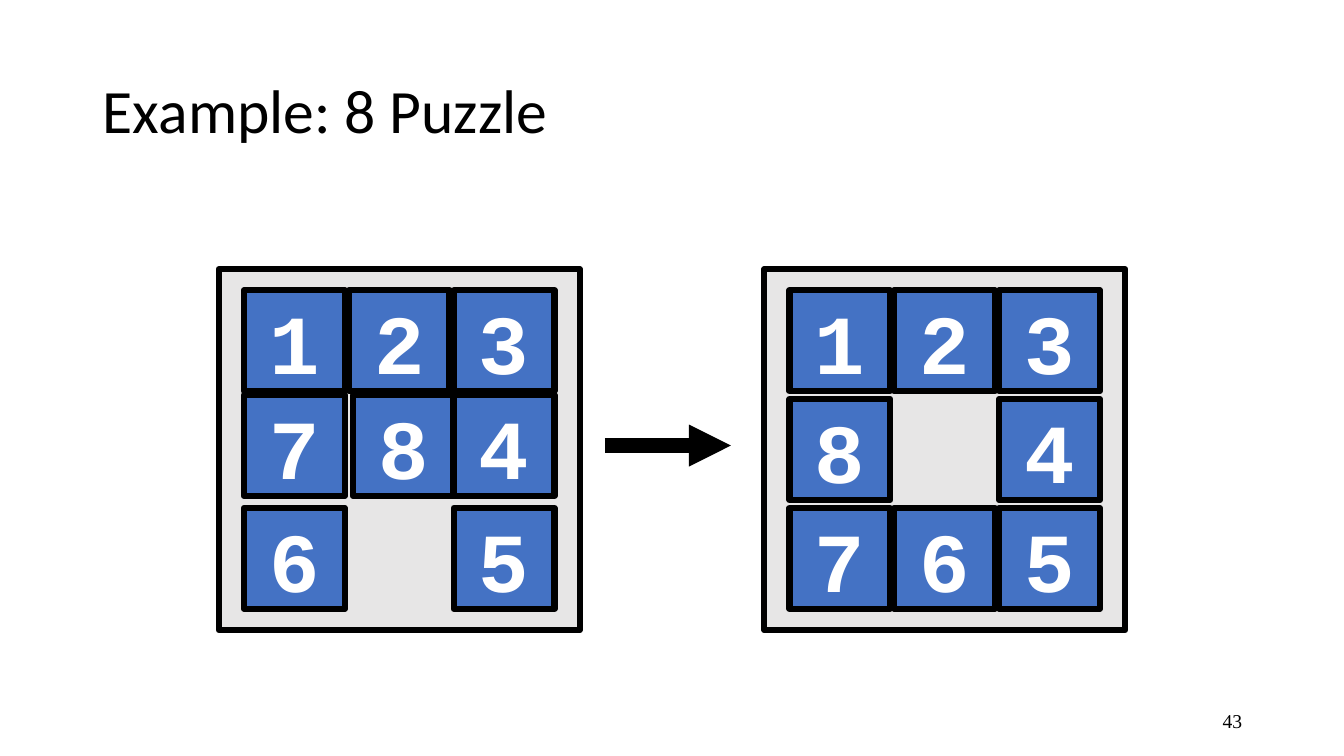
from dataclasses import dataclass

from lxml import etree
from pptx import Presentation
from pptx import util as u
from pptx.dml.color import RGBColor
from pptx.enum import shapes, text
from pptx.oxml import ns


@dataclass(frozen=True)
class Theme:
    ink: str = "000000"
    tray: str = "E7E6E6"
    tile: str = "4472C4"
    digit: str = "FFFFFF"
    head: str = "Calibri"
    mono: str = "Courier New"
    serif: str = "Times New Roman"
    title: int = 44
    big: int = 60
    small: int = 14
    edge: float = 4.5
    arrow: int = 10


class Deck:
    """Draws the puzzle slide in one theme."""

    def __init__(self, theme):
        self.theme = theme
        self.prs = Presentation()
        self.prs.slide_width = u.Inches(13.33)
        self.prs.slide_height = u.Inches(7.5)
        self.slide = self.prs.slides.add_slide(self.prs.slide_layouts[5])

    def place(self, item, *box):
        item.left, item.top, item.width, item.height = map(u.Inches, box)

    def label(self, frame, words, face, size, tint, align, bold=False):
        frame.text = words
        frame.vertical_anchor = text.MSO_ANCHOR.MIDDLE
        para = frame.paragraphs[0]
        para.alignment = align
        font = para.runs[0].font
        font.name, font.size, font.bold = face, u.Pt(size), bold
        font.color.rgb = RGBColor.from_string(tint)

    def title(self, words):
        t = self.theme
        item = self.slide.shapes.title
        self.place(item, 0.92, 0.4, 11.5, 1.45)
        self.label(item.text_frame, words, t.head, t.title, t.ink, text.PP_ALIGN.LEFT)
        item.text_frame.paragraphs[0].line_spacing = 0.9

    def number(self, words):
        t = self.theme
        item = self.slide.shapes.add_textbox(*map(u.Inches, (9.42, 6.95, 3, 0.4)))
        item.text_frame.word_wrap = True
        self.label(item.text_frame, words, t.serif, t.small, t.ink, text.PP_ALIGN.RIGHT)

    def square(self, host, x, y, side, fill):
        item = host.add_shape(shapes.MSO_SHAPE.RECTANGLE, *map(u.Inches, (x, y, side, side)))
        item.shadow.inherit = False
        item.fill.solid()
        item.fill.fore_color.rgb = RGBColor.from_string(fill)
        item.line.color.rgb = RGBColor.from_string(self.theme.ink)
        item.line.width = u.Pt(self.theme.edge)
        return item

    def tile(self, host, x, y, digit):
        t = self.theme
        item = self.square(host, x, y, 1, t.tile)
        item.text_frame.word_wrap = False
        self.label(item.text_frame, digit, t.mono, t.big, t.digit, text.PP_ALIGN.CENTER, True)
        return item

    def board(self, x, tops, rows, group=False):
        top = self.slide.shapes
        self.square(top, x, 2.67, 3.58, self.theme.tray)
        host = top.add_group_shape().shapes if group else top
        return {
            digit: self.tile(host, x + 0.25 + 1.04 * col, y, digit)
            for y, row in zip(tops, rows)
            for col, digit in enumerate(row)
            if digit != "_"
        }

    def arrow(self, x, y, end):
        item = self.slide.shapes.add_connector(
            shapes.MSO_CONNECTOR.STRAIGHT, *map(u.Inches, (x, y, end, y)))
        item.line.width = u.Pt(self.theme.arrow)
        item.line.color.rgb = RGBColor.from_string(self.theme.ink)
        props = item.element.spPr
        etree.SubElement(props.find(ns.qn("a:ln")), ns.qn("a:tailEnd"), type="triangle")
        etree.SubElement(props, ns.qn("a:effectLst"))


def main():
    deck = Deck(Theme())
    deck.number("43")
    deck.title("Example: 8 Puzzle")
    start = deck.board(2.17, (2.88, 3.92, 5.04), ("123", "784", "6_5"))
    start["8"].left = u.Inches(3.5)
    deck.arrow(6, 4.42, 7.25)
    deck.board(7.58, (2.88, 3.96, 5.04), ("123", "8_4", "765"), group=True)
    deck.prs.save("out.pptx")


if __name__ == "__main__":
    main()
